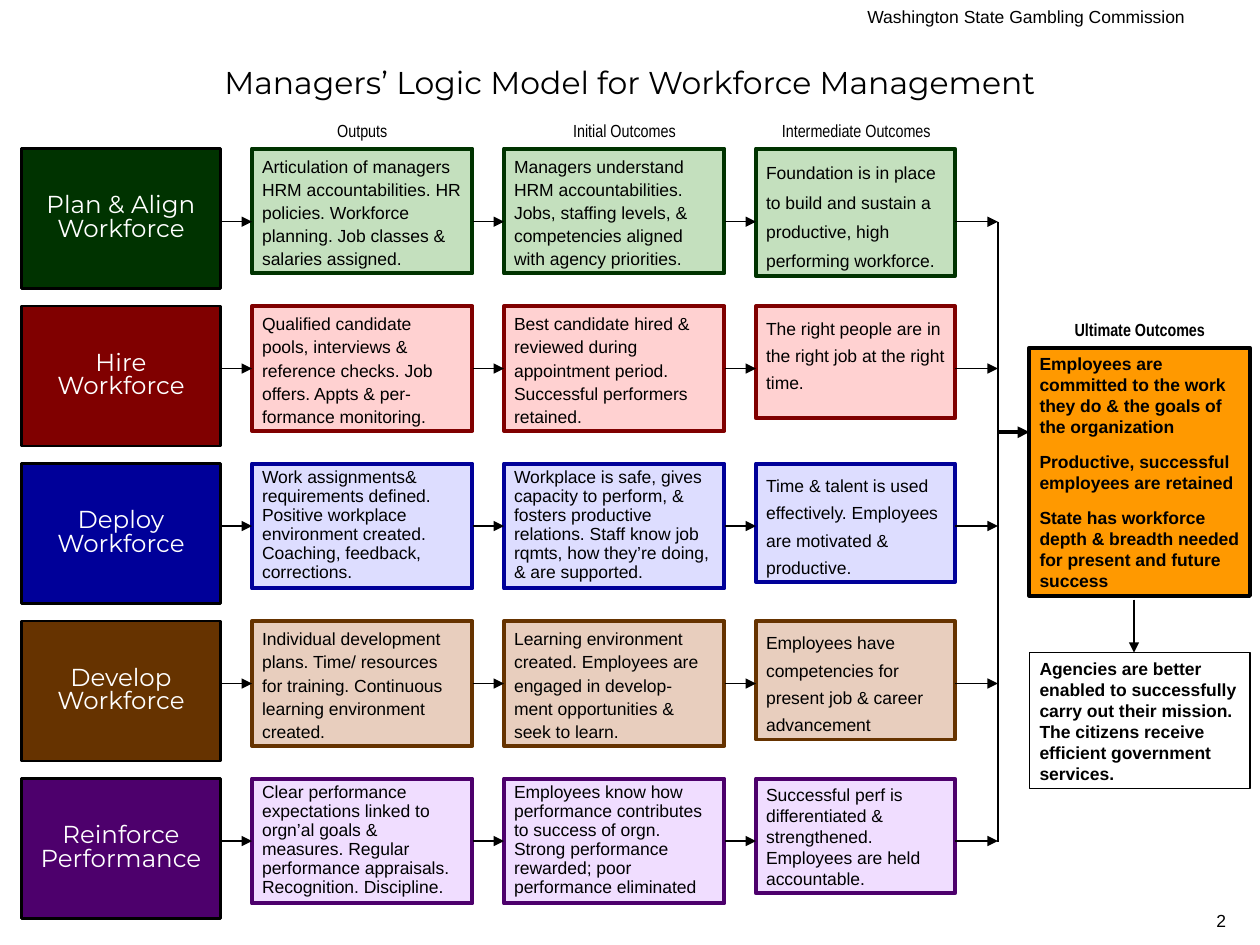
from dataclasses import dataclass

from lxml import etree
from pptx import Presentation, util as u
from pptx.dml.color import RGBColor
from pptx.enum import shapes, text
from pptx.oxml.ns import qn


@dataclass(frozen=True)
class Theme:
    """Hold the colours, fonts and type sizes of the slide."""
    black: str = "000000"
    white: str = "FFFFFF"
    gold: str = "FF9900"
    body: str = "Arial"
    slim: str = "Arial Narrow"
    head: str = "Montserrat"
    small: int = 10
    mid: int = 14
    large: int = 18
    thin: float = 0.75
    edge: float = 1.5
    thick: float = 2.25


T = Theme()
LEFT, RIGHT, CENTER = text.PP_ALIGN.LEFT, text.PP_ALIGN.RIGHT, text.PP_ALIGN.CENTER
TOP, STEP = 1.18, 1.25
STAGE_X, STAGE_W, STAGE_H = 0.17, 1.58, 1.11
CELL_X, CELL_W, CELL_H = (2, 4, 6), (1.75, 1.75, 1.58), 0.99
BUS, GOAL_X, GOAL_W = 7.92, 8.17, 1.75

ROWS = [
    ("Plan & Align Workforce", "003300", "C4E0BE", 1.1, 1.4, 1.01, (
        "Articulation of managers HRM accountabilities. HR policies. "
        "Workforce planning. Job classes & salaries assigned.",
        "Managers understand HRM accountabilities. Jobs, staffing levels, & "
        "competencies aligned with agency priorities.",
        "Foundation is in place to build and sustain a productive, high "
        "performing workforce.")),
    ("Hire\nWorkforce", "800000", "FFD1D1", 1.1, 1.3, 0.89, (
        "Qualified candidate pools, interviews & reference checks. "
        "Job offers. Appts & per-\nformance monitoring.",
        "Best candidate hired & reviewed during appointment period. "
        "Successful performers retained.",
        "The right people are in the right job at the right time.")),
    ("Deploy\nWorkforce", "000099", "DDDDFF", 0.9, 1.3, 0.94, (
        "Work assignments& requirements defined. Positive workplace "
        "environment created. Coaching, feedback, corrections.",
        "Workplace is safe, gives capacity to perform, & fosters productive "
        "relations. Staff know job rqmts, how they’re doing, & are supported.",
        "Time & talent is used effectively. Employees are motivated & "
        "productive.")),
    ("Develop Workforce", "663300", "E8CEBE", 1.1, 1.3, 0.94, (
        "Individual development plans. Time/ resources for training. "
        "Continuous learning environment created.",
        "Learning environment created. Employees are engaged in develop-\n"
        "ment opportunities & seek to learn.",
        "Employees have competencies for present job & career advancement")),
    ("Reinforce Performance", "4D006C", "F0DDFF", 0.9, 1.0, 0.91, (
        "Clear performance expectations linked to orgn’al goals & measures. "
        "Regular performance appraisals. Recognition. Discipline.",
        "Employees know how performance contributes to success of orgn. "
        "Strong performance rewarded; poor performance eliminated",
        "Successful perf is differentiated & strengthened. Employees are held "
        "accountable.")),
]
GOALS = (
    "Employees are committed to the work they do & the goals of the organization",
    "Productive, successful employees are retained",
    "State has workforce depth & breadth needed for present and future success",
)
MISSION = ("Agencies are better enabled to successfully carry out their mission. "
           "The citizens receive efficient government services.")
LABELS = [("Outputs", 2, 0.9, False), ("Initial Outcomes", 4.08, 0.9, False),
          ("Intermediate Outcomes", 5.92, 0.9, False),
          ("Ultimate Outcomes", GOAL_X, 2.48, True)]


def write(shape, *lines, size=T.small, font=T.body, color=T.black, bold=False,
          align=LEFT, space=1.0, gap=0, pad=(0.1, 0.05), middle=False):
    """Put formatted paragraphs into a shape."""
    frame = shape.text_frame
    frame.word_wrap = True
    frame.auto_size = text.MSO_AUTO_SIZE.NONE
    frame.vertical_anchor = text.MSO_ANCHOR.MIDDLE if middle else text.MSO_ANCHOR.TOP
    frame.margin_left = frame.margin_right = u.Inches(pad[0])
    frame.margin_top = frame.margin_bottom = u.Inches(pad[1])
    for i, line in enumerate(lines):
        para = frame.add_paragraph() if i else frame.paragraphs[0]
        para.text = line
        para.alignment, para.line_spacing = align, space
        if i:
            para.space_before = u.Pt(gap)
        for run in para.runs:
            run.font.size, run.font.name, run.font.bold = u.Pt(size), font, bold
            run.font.color.rgb = RGBColor.from_string(color)
        for br in para._p.findall(qn("a:br")):
            etree.SubElement(br, qn("a:rPr"), sz=str(size * 100))


def box(slide, area, fill, line, width, *lines, **style):
    """Add a filled and outlined rectangle with text."""
    shape = slide.shapes.add_shape(shapes.MSO_SHAPE.RECTANGLE, *map(u.Inches, area))
    shape.shadow.inherit = False
    shape.fill.solid()
    shape.fill.fore_color.rgb = RGBColor.from_string(fill)
    shape.line.color.rgb = RGBColor.from_string(line)
    shape.line.width = u.Pt(width)
    write(shape, *lines, pad=(0.08, 0.04), **style)
    return shape


def label(slide, area, line, **style):
    """Add a text box."""
    write(slide.shapes.add_textbox(*map(u.Inches, area)), line, **style)


def link(slide, start, end, width=T.thin, tip=True, source=None, target=None):
    """Draw a straight line, joined left to right where boxes are given."""
    line = slide.shapes.add_connector(
        shapes.MSO_CONNECTOR.STRAIGHT, *map(u.Inches, (*start, *end)))
    line.line.color.rgb = RGBColor.from_string(T.black)
    line.line.width = u.Pt(width)
    if tip:
        etree.SubElement(line.line._get_or_add_ln(), qn("a:tailEnd"), type="triangle")
    etree.SubElement(line._element.spPr, qn("a:effectLst"))
    if source:
        line.begin_connect(source, 3)
    if target:
        line.end_connect(target, 1)


def row(slide, i, stage, dark, light, space, loose, last, notes):
    """Draw one stage with its three outcome boxes and arrows."""
    top = TOP + STEP * i
    box(slide, (STAGE_X, top, STAGE_W, STAGE_H), dark, T.black, T.edge, stage,
        size=T.mid, font=T.head, color=T.white, align=CENTER, space=0.8, middle=True)
    cells = [
        box(slide, (x, top, w, h), light, dark, T.thick, note, space=gap)
        for x, w, h, gap, note in zip(
            CELL_X, CELL_W, (CELL_H, CELL_H, last), (space, space, loose), notes)]
    y = top + CELL_H / 2 if i else 1.76
    out, first = cells[:2] if i else (None, None)
    link(slide, (STAGE_X + STAGE_W, y), (2, y), target=out)
    link(slide, (3.75, y), (4, y), source=out, target=first)
    link(slide, (5.75, y), (6, y), source=first)
    link(slide, (7.58, y), (BUS, y))


def goals(slide):
    """Draw the ultimate outcomes and the lines that lead to them."""
    box(slide, (GOAL_X, 2.76, GOAL_W, 1.97), T.gold, T.black, T.thick, *GOALS,
        bold=True, gap=8.1)
    box(slide, (GOAL_X, 5.18, GOAL_W, 1.08), T.white, T.black, T.thin, MISSION,
        bold=True)
    link(slide, (BUS, 1.76), (BUS, 6.68), tip=False)
    link(slide, (BUS, 3.43), (GOAL_X, 3.43), width=T.thick)
    link(slide, (9, 4.76), (9, 5.18))


def main():
    """Build and save the slide."""
    deck = Presentation()
    deck.slide_width, deck.slide_height = u.Inches(10), u.Inches(7.5)
    slide = deck.slides.add_slide(deck.slide_layouts[6])
    label(slide, (0.5, 0.3, 9, 0.7), "Managers’ Logic Model for Workforce Management",
          size=T.large, font=T.head, align=CENTER, middle=True)
    label(slide, (4.5, 0, 5, 0.25), "Washington State Gambling Commission", align=RIGHT)
    for i, data in enumerate(ROWS):
        row(slide, i, *data)
    goals(slide)
    for name, x, y, bold in LABELS:
        label(slide, (x, y, 1.75, 0.27), name, font=T.slim, bold=bold, align=CENTER)
    label(slide, (7.5, 7.17, 2.33, 0.33), "2", align=RIGHT)
    deck.save("out.pptx")


if __name__ == "__main__":
    main()
